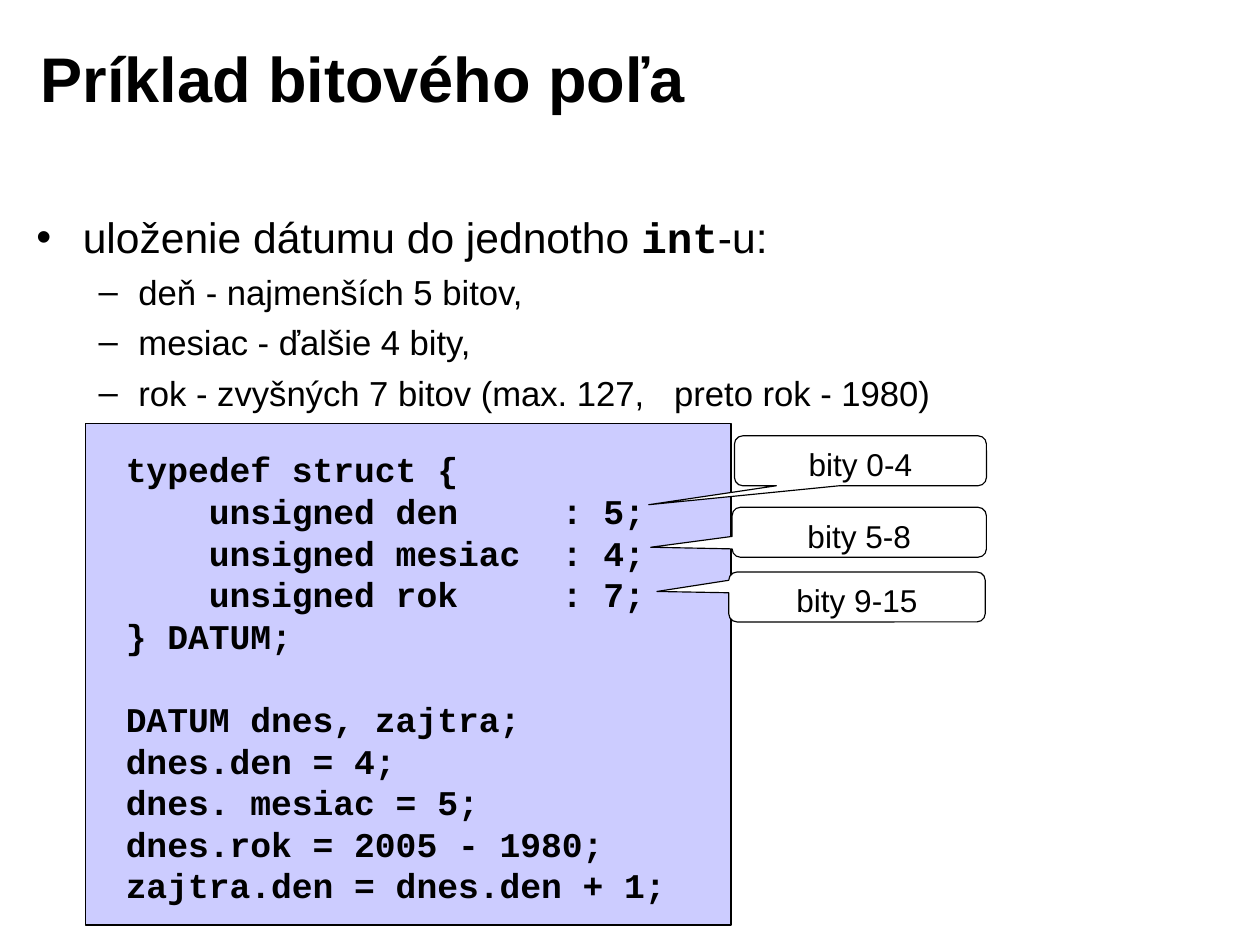
from lxml import etree
from pptx import Presentation
from pptx.dml.color import RGBColor
from pptx.enum.shapes import MSO_SHAPE
from pptx.enum.text import MSO_ANCHOR, MSO_AUTO_SIZE, PP_ALIGN
from pptx.oxml.ns import qn
from pptx.util import Inches, Pt

RECTANGLE = MSO_SHAPE.RECTANGLE
CALLOUT = MSO_SHAPE.ROUNDED_RECTANGULAR_CALLOUT
TOP, MIDDLE = MSO_ANCHOR.TOP, MSO_ANCHOR.MIDDLE
LEFT, CENTER = PP_ALIGN.LEFT, PP_ALIGN.CENTER
NO_AUTOFIT = MSO_AUTO_SIZE.NONE

COLORS = {"ink": "000000", "paper": "FFFFFF", "panel": "CCCCFF"}
SANS, MONO = "Arial", "Courier New"
COLUMNS, ROWS = 111, 83
CELL = Inches(0.1)
LINE_RATIO = 1.2

TITLE_BOX = (2.5, 1.7, 89.2, 10.2)
BODY_BOX = (2.1, 18, 106.6, 19.2)
CODE_BOX = (7.5, 37.3, 56.9, 44.2)

HEADLINE = [("uloženie dátumu do jednotho ", SANS), ("int", MONO), ("-u:", SANS)]
FIELDS = [
    "deň - najmenších 5 bitov,",
    "mesiac - ďalšie 4 bity,",
    "rok - zvyšných 7 bitov (max. 127,\tpreto rok - 1980)",
]
CODE = """typedef struct {
    unsigned den     : 5;
    unsigned mesiac  : 4;
    unsigned rok     : 7;
} DATUM;

DATUM dnes, zajtra;
dnes.den = 4;
dnes. mesiac = 5;
dnes.rok = 2005 - 1980;
zajtra.den = dnes.den + 1;"""
BIT_RANGES = [
    ("bity 0-4", (64.7, 38.4, 22.2, 4.4), (-0.84, 0.88)),
    ("bity 5-8", (64.5, 44.7, 22.4, 4.4), (-0.82, 0.3)),
    ("bity 9-15", (64.2, 50.4, 22.6, 4.4), (-0.78, -0.11)),
]


def cells(box):
    """Convert grid cells to slide lengths."""
    return [round(count * CELL) for count in box]


def place(shape, box):
    """Move a placeholder to a box of the grid."""
    shape.left, shape.top, shape.width, shape.height = cells(box)


def set_frame(frame, anchor=TOP, wrap=True, margins=(1.1, 0.6)):
    """Set the margins, anchor and wrapping of a text frame."""
    side, edge = cells(margins)
    frame.margin_left = frame.margin_right = side
    frame.margin_top = frame.margin_bottom = edge
    frame.auto_size = NO_AUTOFIT
    frame.vertical_anchor = anchor
    frame.word_wrap = wrap


def style(paragraph, size, face=SANS, bold=False, align=LEFT, before=0):
    """Format a paragraph and its runs."""
    paragraph.alignment = align
    paragraph.line_spacing = Pt(size * LINE_RATIO)
    paragraph.space_before = Pt(before)
    for font in [paragraph.font] + [run.font for run in paragraph.runs]:
        font.size, font.name, font.bold = Pt(size), face, bold
        font.color.rgb = RGBColor.from_string(COLORS["ink"])


def add_bullet(paragraph, mark, margin, hanging, tab=None):
    """Give a paragraph a bullet, a hanging indent and an optional tab stop."""
    properties = paragraph._p.get_or_add_pPr()
    indent, outdent = cells((margin, -hanging))
    properties.set("marL", str(indent))
    properties.set("indent", str(outdent))
    etree.SubElement(properties, qn("a:buChar")).set("char", mark)
    if tab:
        stops = etree.SubElement(properties, qn("a:tabLst"))
        stop = etree.SubElement(stops, qn("a:tab"))
        stop.set("pos", str(cells([tab])[0]))
        stop.set("algn", "l")


def add_box(shapes, kind, box, fill):
    """Add a filled shape with a thin outline."""
    shape = shapes.add_shape(kind, *cells(box))
    shape.shadow.inherit = False
    shape.fill.solid()
    shape.fill.fore_color.rgb = RGBColor.from_string(COLORS[fill])
    shape.line.color.rgb = RGBColor.from_string(COLORS["ink"])
    shape.line.width = Pt(0.75)
    return shape


def fill_title(title, box):
    """Write the slide title."""
    place(title, box)
    set_frame(title.text_frame, MIDDLE)
    title.text_frame.text = "Príklad bitového poľa"
    style(title.text_frame.paragraphs[0], 40, bold=True)


def fill_body(body, box):
    """Write the list of date fields."""
    place(body, box)
    frame = body.text_frame
    set_frame(frame)
    headline = frame.paragraphs[0]
    add_bullet(headline, "•", 4.1, 4.1)
    for words, _ in HEADLINE:
        headline.add_run().text = words
    style(headline, 27)
    for run, (_, face) in zip(headline.runs, HEADLINE):
        run.font.name, run.font.bold = face, face == MONO
    for words in FIELDS:
        field = frame.add_paragraph()
        field.text = words
        field.level = 1
        add_bullet(field, "–", 9, 3.5, 56.2 if "\t" in words else None)
        style(field, 22, before=5.5)


def add_code(slide, box):
    """Add the code listing on its panel."""
    left, top, width, height = box
    group = slide.shapes.add_group_shape()
    add_box(group.shapes, RECTANGLE, box, "panel")
    listing_box = (left + 2.6, top + 1.7, width - 7.3, height - 2.9)
    frame = group.shapes.add_textbox(*cells(listing_box)).text_frame
    set_frame(frame, wrap=False, margins=(1, 0.5))
    frame.text = CODE
    for line in frame.paragraphs:
        style(line, 22, MONO, bold=True)


def add_bit_range(slide, words, box, tip):
    """Add a callout whose tip points at a field of the struct."""
    callout = add_box(slide.shapes, CALLOUT, box, "paper")
    callout.adjustments[0], callout.adjustments[1] = tip
    set_frame(callout.text_frame)
    callout.text_frame.text = words
    style(callout.text_frame.paragraphs[0], 20, align=CENTER)


def main():
    """Build the slide and save it."""
    deck = Presentation()
    deck.slide_width, deck.slide_height = cells((COLUMNS, ROWS))
    slide = deck.slides.add_slide(deck.slide_layouts[1])
    fill_title(slide.shapes.title, TITLE_BOX)
    add_code(slide, CODE_BOX)
    fill_body(slide.placeholders[1], BODY_BOX)
    for words, box, tip in BIT_RANGES:
        add_bit_range(slide, words, box, tip)
    deck.save("out.pptx")


if __name__ == "__main__":
    main()
